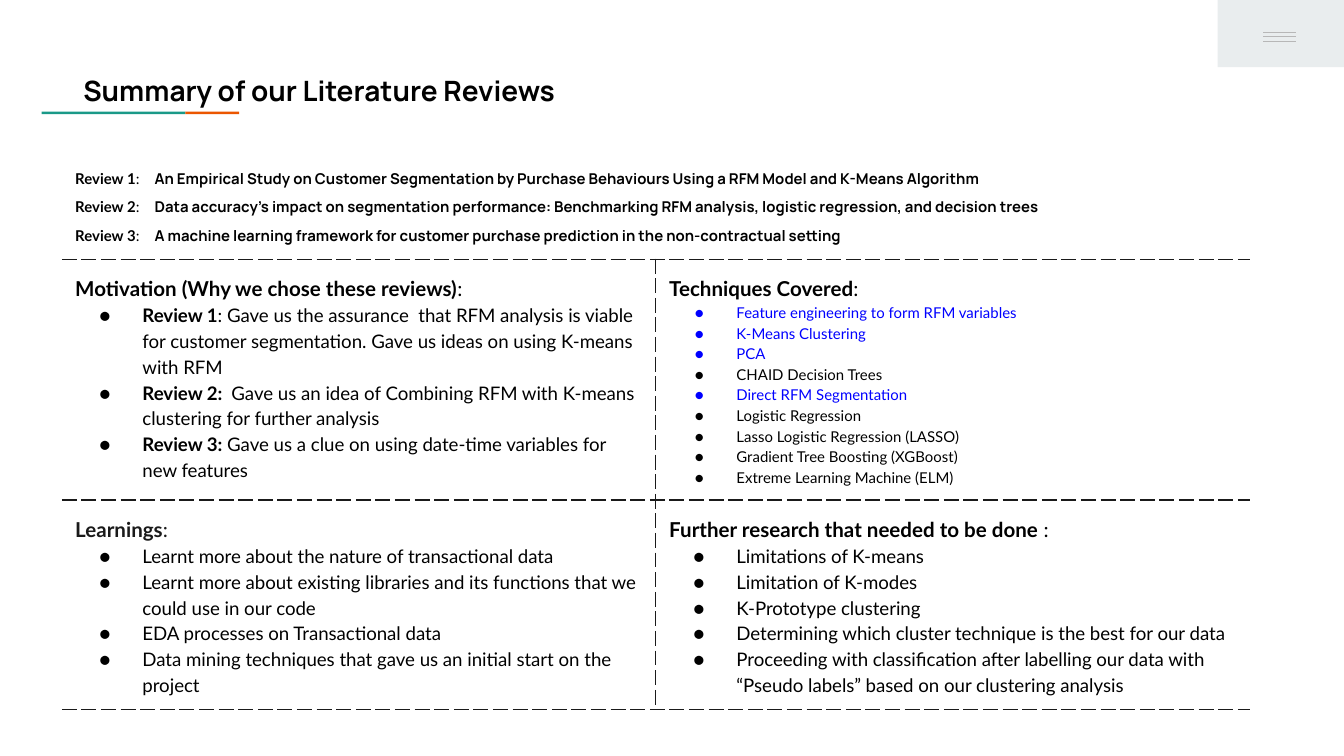
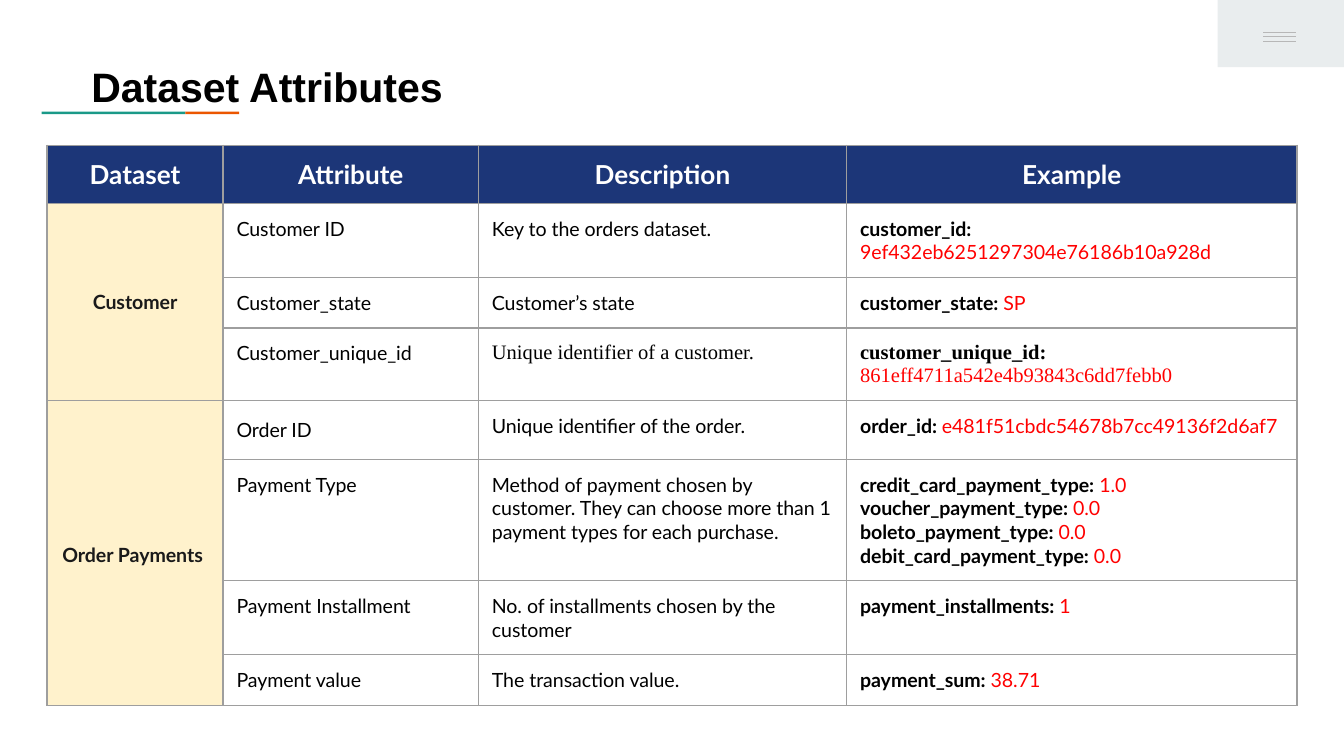
from lxml import etree
from pptx import Presentation
from pptx import util as u
from pptx.dml.color import RGBColor
from pptx.enum import shapes, text
from pptx.oxml import ns

hue = RGBColor.from_string
BLACK, INK, BLUE, RED, WHITE = "000000", "1A1A1A", "0000FF", "FF0000", "FFFFFF"
NAVY, CREAM, GREY = "1C3678", "FFF2CC", "9E9E9E"
TEAL, RUST, MIST, RULE = "1A9988", "EB5600", "E9EDEE", "B7B7B7"
PLAIN = "{2D5ABB26-0587-4C30-8999-92F81FD0307C}"


def write(par, size, color=BLACK, face="Lato", light=None):
    bits = par.text.split("*")
    par.clear()
    for i, bit in enumerate(bits):
        if bit:
            run = par.add_run()
            run.text = bit
            run.font.size = u.Pt(size)
            run.font.name = face
            run.font.bold = i % 2 == 1
            run.font.color.rgb = hue(color if i % 2 else light or color)


def edge(cell, sides, color, dash):
    props = cell._tc.get_or_add_tcPr()
    for side in sides:
        line = etree.SubElement(props, ns.qn("a:ln" + side), w=str(u.Pt(0.75)))
        fill = etree.SubElement(line, ns.qn("a:solidFill"))
        etree.SubElement(fill, ns.qn("a:srgbClr"), val=color)
        etree.SubElement(line, ns.qn("a:prstDash"), val=dash)


deck = Presentation()
deck.slide_width = u.Inches(10)
deck.slide_height = deck.slide_width * 9 // 16
base = deck.slide_layouts[5]
for spare in list(base.placeholders)[1:]:
    base.shapes.element.remove(spare.element)

pages = []
for name, left, top, high, size, face in [
    ("Summary of our Literature Reviews", 0.52, 0.41, 0.97, 15, "Manrope"),
    ("Dataset Attributes", 0.58, 0.3, 0.57, 22, "Arial"),
]:
    page = deck.slides.add_slide(base)
    title = page.shapes.title
    title.left, title.top = u.Inches(left), u.Inches(top)
    title.width, title.height = u.Inches(8.84), u.Inches(high)
    frame = title.text_frame
    frame.text = f"*{name}*"
    frame.word_wrap = True
    frame.auto_size = text.MSO_AUTO_SIZE.NONE
    frame.vertical_anchor = text.MSO_ANCHOR.TOP
    frame.margin_left = frame.margin_right = u.Inches(0.1)
    frame.margin_top = frame.margin_bottom = u.Inches(0.1)
    par = frame.paragraphs[0]
    par.alignment = text.PP_ALIGN.LEFT
    par.line_spacing = 1.15
    write(par, size, face=face)
    pages.append(page)

decor = []
for left, top, wide, high, color in [
    (0.31, 0.83, 1.07, 0.02, TEAL),
    (1.38, 0.83, 0.4, 0.02, RUST),
    (9.06, 0, 0.94, 0.5, MIST),
]:
    box = pages[0].shapes.add_shape(
        shapes.MSO_SHAPE.RECTANGLE,
        u.Inches(left), u.Inches(top), u.Inches(wide), u.Inches(high),
    )
    box.shadow.inherit = False
    box.fill.solid()
    box.fill.fore_color.rgb = hue(color)
    box.line.fill.background()
    decor.append(box)
for top in (0.24, 0.27, 0.31):
    bar = pages[0].shapes.add_connector(
        shapes.MSO_CONNECTOR.STRAIGHT,
        u.Inches(9.4), u.Inches(top), u.Inches(9.64), u.Inches(top),
    )
    bar.line.color.rgb = hue(RULE)
    bar.line.width = u.Pt(0.75)
    etree.SubElement(bar.element.spPr, ns.qn("a:effectLst"))
    decor.append(bar)
for item in decor:
    base.shapes.element.append(item.element)

grids = []
for page, left, top, cols, rows in [
    (pages[0], 0.46, 1.09, [4.42, 4.42], [0.59, 1.38, 0.97]),
    (pages[1], 0.35, 1.08, [1.31, 1.9, 2.74, 3.35],
     [0.35, 0.44, 0.3, 0.46, 0.44, 0.73, 0.44, 0.3]),
]:
    grid = page.shapes.add_table(
        len(rows), len(cols), u.Inches(left), u.Inches(top),
        u.Inches(sum(cols)), u.Inches(sum(rows)),
    ).table
    grid.first_row = grid.horz_banding = False
    grid._tbl.tblPr.find(ns.qn("a:tableStyleId")).text = PLAIN
    for col, wide in zip(grid.columns, cols):
        col.width = u.Inches(wide)
    for row, high in zip(grid.rows, rows):
        row.height = u.Inches(high)
    for cell in grid.iter_cells():
        cell.margin_left = cell.margin_right = u.Inches(0.1)
        cell.margin_top = cell.margin_bottom = u.Inches(0.1)
    grids.append(grid)

grid = grids[0]
for row in range(3):
    for col in range(2):
        sides = "B" if row == 0 else ("RTB", "LTB")[col]
        edge(grid.cell(row, col), sides, INK, "dash")
        grid.cell(row, col).fill.background()

papers = [
    "An Empirical Study on Customer Segmentation by Purchase Behaviours Using a RFM Model and K-Means Algorithm",
    "Data accuracy's impact on segmentation performance: Benchmarking RFM analysis, logistic regression, and decision trees",
    "A machine learning framework for customer purchase prediction in the non-contractual setting",
]
head = grid.cell(0, 0)
head.merge(grid.cell(0, 1))
head.text_frame.text = "\n".join(
    f"*Review {i}*:**\t*{paper}*" for i, paper in enumerate(papers, 1)
)
for par in head.text_frame.paragraphs:
    par.line_spacing = 1.15
    tabs = etree.SubElement(par._p.get_or_add_pPr(), ns.qn("a:tabLst"))
    etree.SubElement(tabs, ns.qn("a:tab"), pos=str(u.Inches(0.59)), algn="l")
    write(par, 8)
    par.runs[2].font.size = u.Pt(11)
    par.runs[3].font.name = "Manrope"

used = ["Feature engineering to form RFM variables", "K-Means Clustering",
        "PCA", "Direct RFM Segmentation"]
blocks = [
    (1, 0, 10, BLACK, "*Motivation (Why we chose these reviews)*:", [
        "*Review 1*: Gave us the assurance  that RFM analysis is viable for customer segmentation. Gave us ideas on using K-means with RFM",
        "*Review 2:  *Gave us an idea of Combining RFM with K-means clustering for further analysis",
        "*Review 3:* Gave us a clue on using date-time variables for new features",
    ]),
    (1, 1, 8, BLACK, "*Techniques Covered*:", used[:3] + [
        "CHAID Decision Trees", used[3], "Logistic Regression",
        "Lasso Logistic Regression (LASSO)",
        "Gradient Tree Boosting (XGBoost)", "Extreme Learning Machine (ELM)",
    ]),
    (2, 0, 10, INK, "*Learnings*:", [
        "Learnt more about the nature of transactional data",
        "Learnt more about existing libraries and its functions that we could use in our code",
        "EDA processes on Transactional data",
        "Data mining techniques that gave us an initial start on the project",
    ]),
    (2, 1, 10, BLACK, "*Further research that needed to be done *:", [
        "Limitations of K-means",
        "Limitation of K-modes",
        "K-Prototype clustering",
        "Determining which cluster technique is the best for our data",
        "Proceeding with classification after labelling our data with “Pseudo labels” based on our clustering analysis",
    ]),
]
for row, col, size, color, topic, points in blocks:
    frame = grid.cell(row, col).text_frame
    frame.text = "\n".join([topic] + points)
    for i, par in enumerate(frame.paragraphs):
        par.line_spacing = 1.15
        if i == 0:
            write(par, 11, color)
            continue
        tint = BLUE if par.text in used else BLACK
        props = par._p.get_or_add_pPr()
        props.set("marL", str(u.Inches(0.5)))
        props.set("indent", str(u.Inches(-0.32 if size == 10 else -0.31)))
        mark = etree.SubElement(props, ns.qn("a:buClr"))
        etree.SubElement(mark, ns.qn("a:srgbClr"), val=tint)
        etree.SubElement(props, ns.qn("a:buFont"), typeface="Lato")
        etree.SubElement(props, ns.qn("a:buChar"), char="●")
        write(par, size, tint)

grid = grids[1]
data = [
    ["*Dataset*", "*Attribute*", "*Description*", "*Example*"],
    ["*Customer*", "Customer ID", "Key to the orders dataset.",
     "*customer_id:*\n9ef432eb6251297304e76186b10a928d"],
    ["", "Customer_state", "Customer’s state", "*customer_state: *SP"],
    ["", "Customer_unique_id", "Unique identifier of a customer.",
     "*customer_unique_id: *861eff4711a542e4b93843c6dd7febb0"],
    ["*Order Payments *", "Order ID", "Unique identifier of the order.",
     "*order_id: *e481f51cbdc54678b7cc49136f2d6af7"],
    ["", "Payment Type",
     "Method of payment chosen by customer. They can choose more than 1 payment types for each purchase.",
     "*credit_card_payment_type: *1.0\n*voucher_payment_type: *0.0\n"
     "*boleto_payment_type: *0.0\n*debit_card_payment_type: *0.0"],
    ["", "Payment Installment", "No. of installments chosen by the customer",
     "*payment_installments: *1"],
    ["", "Payment value", "The transaction value.", "*payment_sum: *38.71"],
]
for row, words in enumerate(data):
    for col, word in enumerate(words):
        cell = grid.cell(row, col)
        edge(cell, "LRTB", GREY, "solid")
        if row == 0 or col == 0:
            cell.fill.solid()
            cell.fill.fore_color.rgb = hue(CREAM if row else NAVY)
        else:
            cell.fill.background()
        if not word:
            continue
        if (row and col == 0) or word == "Order ID":
            cell.vertical_anchor = text.MSO_ANCHOR.MIDDLE
        cell.text_frame.text = word
        for par in cell.text_frame.paragraphs:
            if row == 0 or col == 0:
                par.alignment = text.PP_ALIGN.CENTER
                write(par, 10.5 if row else 14, INK if row else WHITE)
            else:
                serif = row == 3 and col > 1
                write(par, 11 if serif else 10.5,
                      face="Times New Roman" if serif else "Lato",
                      light=RED if col == 3 else BLACK)
grid.cell(4, 0).text_frame.paragraphs[0].line_spacing = 1.15
grid.cell(1, 0).merge(grid.cell(3, 0))
grid.cell(4, 0).merge(grid.cell(7, 0))

deck.save("out.pptx")
